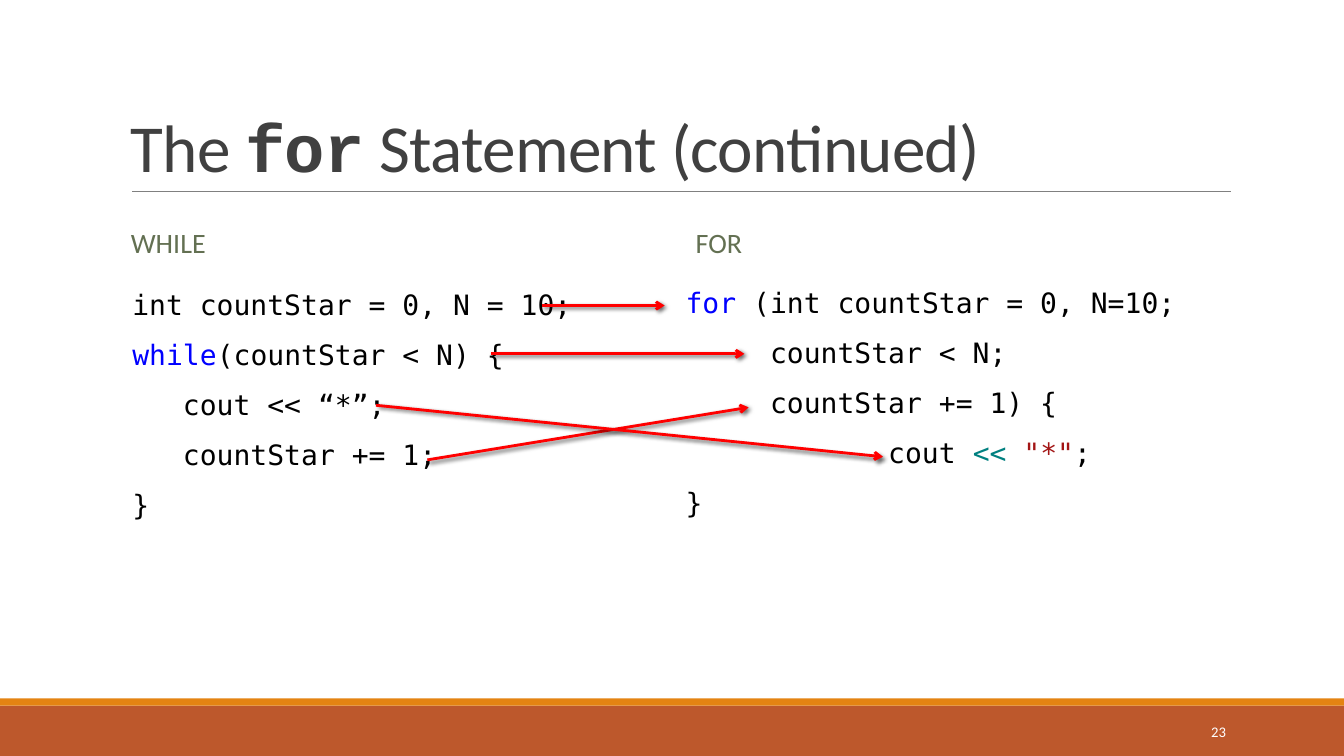
from pptx import Presentation
from pptx.dml.color import RGBColor
from pptx.enum.shapes import MSO_CONNECTOR as Connector, MSO_SHAPE as Preset
from pptx.enum.text import MSO_ANCHOR as Anchor, MSO_AUTO_SIZE as AutoSize, PP_ALIGN as Align
from pptx.oxml import parse_xml
from pptx.oxml.ns import nsdecls, qn
from pptx.util import Pt

PX = 9525
SLIDE_SIZE = (1280, 720)
COLORS = {
    "title": "404040", "heading": "637052", "code": "000000",
    "keyword": "0000FF", "operator": "008080", "string": "A31515",
    "arrow": "FF0000", "rule": "808080", "band": "BD582C",
    "stripe": "E48312", "number": "FFFFFF",
}
TITLE = {"name": "Calibri", "size": Pt(48), "bold": False}
TITLE_CODE = {**TITLE, "name": "Courier New", "bold": True}
HEADING = {"name": "Calibri", "size": Pt(20), "bold": False}
CODE = {"name": "DejaVu Sans Mono", "size": Pt(20)}
NUMBER = {"name": "Calibri", "size": Pt(10.5)}

WHILE_CODE = [
    [("int countStar = 0, N = 10;", "code")],
    [("while", "keyword"), ("(countStar < N) {", "code")],
    [("   cout << “*”;", "code")],
    [("   countStar += 1;", "code")],
    [("}", "code")],
]
FOR_CODE = [
    [("for", "keyword"), (" (int countStar = 0, N=10;", "code")],
    [("     countStar < N;", "code")],
    [("     countStar += 1) {", "code")],
    [(" " * 12 + "cout ", "code"), ("<< ", "operator"), ('"*"', "string"), (";", "code")],
    [("}", "code")],
]
ARROWS = [
    (516, 291, 633, 291),
    (468, 337, 709, 337),
    (407, 438, 713, 388),
    (358, 386, 841, 435),
]


def emu(*lengths):
    return [length * PX for length in lengths]


def rgb(color):
    return RGBColor.from_string(COLORS[color])


def apply(target, values):
    for key, value in values.items():
        setattr(target, key, value)


def add_run(paragraph, text, color, font):
    run = paragraph.add_run()
    run.text = text
    apply(run.font, font)
    run.font.color.rgb = rgb(color)
    return run


def place(holder, box, **frame):
    apply(holder, dict(zip(("left", "top", "width", "height"), emu(*box))))
    apply(holder.text_frame, {"word_wrap": True, "auto_size": AutoSize.NONE, **frame})


def fill_title(holder, box):
    place(holder, box, vertical_anchor=Anchor.BOTTOM)
    line = holder.text_frame.paragraphs[0]
    apply(line, {"alignment": Align.LEFT, "line_spacing": 0.85})
    for text, font in (("The ", TITLE), ("for", TITLE_CODE), (" Statement (continued)", TITLE)):
        run = add_run(line, text, "title", font)
        run.font._element.set("spc", "-50")


def fill_lines(holder, box, lines, font, **frame):
    place(holder, box, **frame)
    for index, segments in enumerate(lines):
        body = holder.text_frame
        line = body.add_paragraph() if index else body.paragraphs[0]
        props = line._p.get_or_add_pPr()
        props.set("marL", "0")
        props.set("indent", "0")
        props.append(parse_xml(f"<a:buNone {nsdecls('a')}/>"))
        apply(line, {"line_spacing": 0.9, "space_before": Pt(12 if index else 0),
                     "space_after": Pt(2)})
        for text, color in segments:
            add_run(line, text, color, font)


def add_band(slide, box, color):
    band = slide.shapes.add_shape(Preset.RECTANGLE, *emu(*box))
    band.shadow.inherit = False
    band.fill.solid()
    band.fill.fore_color.rgb = rgb(color)
    band.line.fill.background()


def add_line(slide, ends, color, width, effect=""):
    line = slide.shapes.add_connector(Connector.STRAIGHT, *emu(*ends))
    line.line.color.rgb = rgb(color)
    line.line.width = Pt(width)
    line._element.spPr.append(
        parse_xml(f"<a:effectLst {nsdecls('a')}>{effect}</a:effectLst>"))
    return line


def add_arrow(slide, ends):
    shadow = ('<a:outerShdw blurRad="38100" dist="25400" dir="2700000" rotWithShape="0">'
              '<a:srgbClr val="000000"><a:alpha val="60000"/></a:srgbClr></a:outerShdw>')
    arrow = add_line(slide, ends, "arrow", 2, shadow)
    arrow._element.spPr.find(qn("a:ln")).append(
        parse_xml(f'<a:tailEnd {nsdecls("a")} type="arrow"/>'))


def add_slide_number(slide, box, number):
    label = slide.shapes.add_textbox(*emu(*box))
    place(label, box, vertical_anchor=Anchor.MIDDLE)
    line = label.text_frame.paragraphs[0]
    line.alignment = Align.RIGHT
    add_run(line, number, "number", NUMBER)


def main():
    deck = Presentation()
    deck.slide_width, deck.slide_height = emu(*SLIDE_SIZE)
    slide = deck.slides.add_slide(deck.slide_layouts.get_by_name("Comparison"))
    title, while_heading, while_body, for_heading, for_body = slide.placeholders

    add_band(slide, (0, 672, 1280, 48), "band")
    add_band(slide, (0, 665, 1280, 7), "stripe")
    add_line(slide, (126, 182, 1172, 182), "rule", 0.5)

    fill_title(title, (115, 30, 1056, 152))
    for holder, left, name in ((while_heading, 115, "WHILE"), (for_heading, 653, "FOR")):
        fill_lines(holder, (left, 194, 518, 78), [[(name, "heading")]], HEADING,
                   vertical_anchor=Anchor.MIDDLE)
    for holder, box, code in ((while_body, (126, 273, 505, 354), WHILE_CODE),
                              (for_body, (653, 271, 518, 354), FOR_CODE)):
        fill_lines(holder, box, code, CODE, vertical_anchor=Anchor.TOP,
                   margin_left=0, margin_right=0)

    add_slide_number(slide, (1040, 678, 137, 38), "23")
    for ends in ARROWS:
        add_arrow(slide, ends)
    deck.save("out.pptx")


if __name__ == "__main__":
    main()
